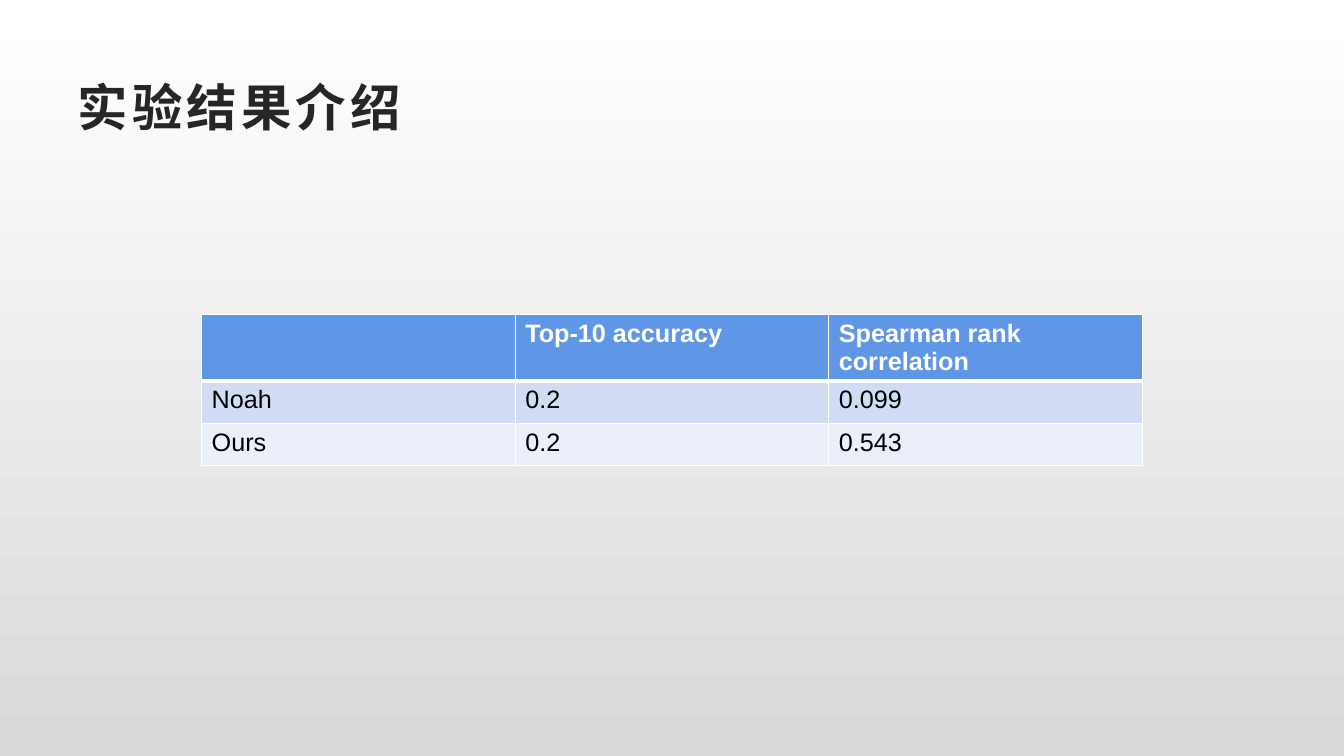
"""Build the experiment results slide with its comparison table."""
from lxml import etree
from pptx import Presentation
from pptx.dml.color import RGBColor
from pptx.enum import text
from pptx.oxml import ns
from pptx.util import Inches, Pt

TITLE = "实验结果介绍"
ROWS = [
    ("", "Top-10 accuracy", "Spearman rank correlation"),
    ("Noah", "0.2", "0.099"),
    ("Ours", "0.2", "0.543"),
]
ROW_FILLS = ["6096E6", "D2DDF5", "EAEFFA"]
BACKGROUND = ["FFFFFF", "D9D9D9"]
TABLE_LEFT, TABLE_TOP, COLUMN_WIDTH, ROW_HEIGHT = 2, 3.12, 3.11, 0.42
THIN, THICK = 1, 3


def color(value):
    return RGBColor.from_string(value)


def write(frame, content, size=18, fill="000000", bold=False, spacing=0):
    span = frame.paragraphs[0].add_run()
    span.text = content
    span.font.name = "Arial"
    span.font.size = Pt(size)
    span.font.bold = bold
    span.font.color.rgb = color(fill)
    if spacing:
        span.font._element.set("spc", str(spacing * 100))


def add_borders(cell, widths, line_color="FFFFFF"):
    properties = cell._tc.get_or_add_tcPr()
    for position, (side, width) in enumerate(widths.items()):
        line = etree.Element(ns.qn(f"a:ln{side}"), w=str(Pt(width)))
        solid = etree.SubElement(line, ns.qn("a:solidFill"))
        etree.SubElement(solid, ns.qn("a:srgbClr"), val=line_color)
        properties.insert(position, line)


def add_results(page):
    columns = len(ROWS[0])
    frame = page.shapes.add_table(
        len(ROWS), columns, Inches(TABLE_LEFT), Inches(TABLE_TOP),
        Inches(COLUMN_WIDTH * columns), Inches(ROW_HEIGHT * len(ROWS)))
    table = frame.table
    for column in table.columns:
        column.width = Inches(COLUMN_WIDTH)
    for index, (values, fill) in enumerate(zip(ROWS, ROW_FILLS)):
        header = index == 0
        table.rows[index].height = Inches(ROW_HEIGHT)
        widths = {"L": THIN, "R": THIN,
                  "T": THICK if index == 1 else THIN,
                  "B": THICK if header else THIN}
        for cell, value in zip(table.rows[index].cells, values):
            cell.fill.solid()
            cell.fill.fore_color.rgb = color(fill)
            add_borders(cell, widths)
            if value:
                write(cell.text_frame, value, bold=header,
                      fill="FFFFFF" if header else "000000")


deck = Presentation()
deck.slide_width, deck.slide_height = Inches(13.33), Inches(7.5)
page = deck.slides.add_slide(deck.slide_layouts[5])

backdrop = page.background.fill
backdrop.gradient()
backdrop.gradient_angle = 270
for stop, value in zip(backdrop.gradient_stops, BACKGROUND):
    stop.color.rgb = color(value)

title = page.shapes.title
title.left, title.top = Inches(0.67), Inches(0.67)
title.width, title.height = Inches(12), Inches(0.77)
title.text_frame.vertical_anchor = text.MSO_ANCHOR.MIDDLE
title.text_frame.paragraphs[0].alignment = text.PP_ALIGN.LEFT
write(title.text_frame, TITLE, size=36, fill="262626", bold=True, spacing=3)

add_results(page)
deck.save("out.pptx")
